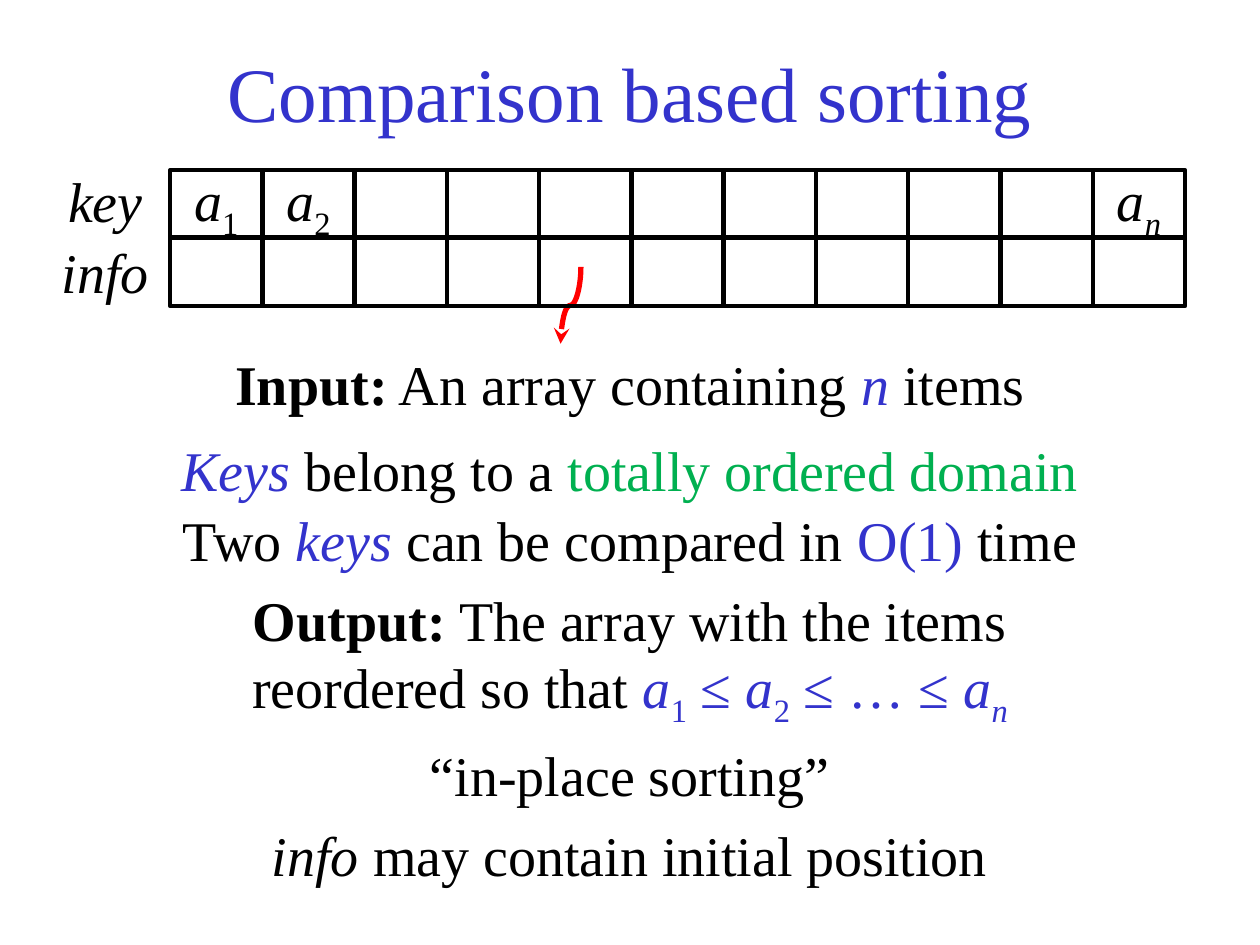
from lxml.etree import SubElement
from pptx import Presentation
from pptx.dml.color import RGBColor
from pptx.enum.shapes import MSO_CONNECTOR, MSO_SHAPE
from pptx.enum.text import MSO_ANCHOR, PP_ALIGN
from pptx.oxml.ns import qn
from pptx.util import Cm, Pt

COLORS = {"black": "000000", "blue": "3333CC", "green": "00B050", "red": "FF0000"}
FONT = "Times New Roman"
WIDTH, HEIGHT = 25.4, 19.05
COUNT = 11
LEFT, STEP = 3.43, 1.86

# A run is (text, marks): a color name, "bold", "italic" or "sub"
A = ("a", "italic")
FIRST = [A, ("1", "sub")]
SECOND = [A, ("2", "sub")]
LAST = [A, ("n", "italic sub")]


def tint(runs, color):
    return [(text, f"{marks} {color}") for text, marks in runs]


ORDER = tint(FIRST + [(" ≤ ", "")] + SECOND + [(" ≤ … ≤ ", "")] + LAST, "blue")

LINES = [
    (6.93, [("Input:", "bold"), (" An array containing ", ""),
            ("n", "italic blue"), (" items", "")]),
    (8.66, [("Keys", "italic blue"), (" belong to a ", ""),
            ("totally ordered domain", "green")]),
    (10.06, [("Two ", ""), ("keys", "italic blue"), (" can be compared in ", ""),
             ("O(1)", "blue"), (" time", "")]),
    (11.68, [("Output:", "bold"), (" The array with the items", ""), ("\n", ""),
             ("reordered so that ", "")] + ORDER),
    (14.81, [("“in-place sorting”", "")]),
    (16.41, [("info", "italic"), (" may contain initial position", "")]),
]


def rgb(name):
    return RGBColor.from_string(COLORS[name])


class Deck:
    def __init__(self):
        self.file = Presentation()
        self.file.slide_width, self.file.slide_height = Cm(WIDTH), Cm(HEIGHT)
        self.slide = self.file.slides.add_slide(self.file.slide_layouts[5])
        self.shapes = self.slide.shapes

    def fill(self, frame, runs, size=32, color="black"):
        """Put the runs into the frame's first paragraph, centred."""
        para = frame.paragraphs[0]
        para.alignment = PP_ALIGN.CENTER
        font = para.font
        font.name, font.size = FONT, Pt(size)
        font.color.rgb = rgb(color)
        for text, marks in runs:
            if text == "\n":
                para.add_line_break()
                continue
            run = para.add_run()
            run.text = text
            for mark in marks.split():
                if mark in COLORS:
                    run.font.color.rgb = rgb(mark)
                elif mark == "sub":
                    run.font._element.set("baseline", "-25000")
                elif mark == "bold":
                    run.font.bold = True
                else:
                    run.font.italic = True

    def title(self, text, top, height):
        box = self.shapes.title
        box.left, box.top = Cm(0), Cm(top)
        box.width, box.height = Cm(WIDTH), Cm(height)
        box.text_frame.vertical_anchor = MSO_ANCHOR.MIDDLE
        self.fill(box.text_frame, [(text, "")], 44, "blue")

    def text(self, runs, top, left=0, width=WIDTH):
        height = 3 if ("\n", "") in runs else 1.63
        box = self.shapes.add_textbox(Cm(left), Cm(top), Cm(width), Cm(height))
        box.text_frame.word_wrap = True
        self.fill(box.text_frame, runs)

    def row(self, top, height, labels):
        """Draw one row of cells; labels maps a cell's index to its runs."""
        group = self.shapes.add_group_shape()
        for i in range(COUNT):
            cell = group.shapes.add_shape(
                MSO_SHAPE.RECTANGLE, Cm(LEFT + i * STEP), Cm(top), Cm(STEP), Cm(height))
            cell.shadow.inherit = False
            cell.fill.background()
            cell.line.color.rgb = rgb("black")
            cell.line.width = Pt(2.5)
            if i in labels:
                frame = cell.text_frame
                frame.word_wrap = False
                frame.vertical_anchor = MSO_ANCHOR.MIDDLE
                self.fill(frame, labels[i])

    def arrow(self, left, top, width, height):
        """Draw a curved arrow that leaves and arrives vertically."""
        x, y = left + (width - height) / 2, top + (height - width) / 2
        line = self.shapes.add_connector(
            MSO_CONNECTOR.CURVE, Cm(x), Cm(y), Cm(x + height), Cm(y + width))
        line.line.color.rgb = rgb("red")
        line.line.width = Pt(3)
        props = line._element.spPr
        props.find(qn("a:xfrm")).set("rot", "5400000")
        SubElement(props.find(qn("a:ln")), qn("a:tailEnd"), type="stealth")
        SubElement(props, qn("a:effectLst"))


def main():
    deck = Deck()
    deck.title("Comparison based sorting", 0.69, 2.31)
    for name, top in (("info", 4.67), ("key", 3.23)):
        deck.text([(name, "italic")], top, 0.83, 2.59)
    deck.arrow(11.3, 5.38, 0.41, 1.55)
    deck.row(3.43, 1.36, {0: FIRST, 1: SECOND, COUNT - 1: LAST})
    deck.row(4.8, 1.37, {})
    for top, runs in LINES:
        deck.text(runs, top)
    deck.file.save("out.pptx")


if __name__ == "__main__":
    main()
